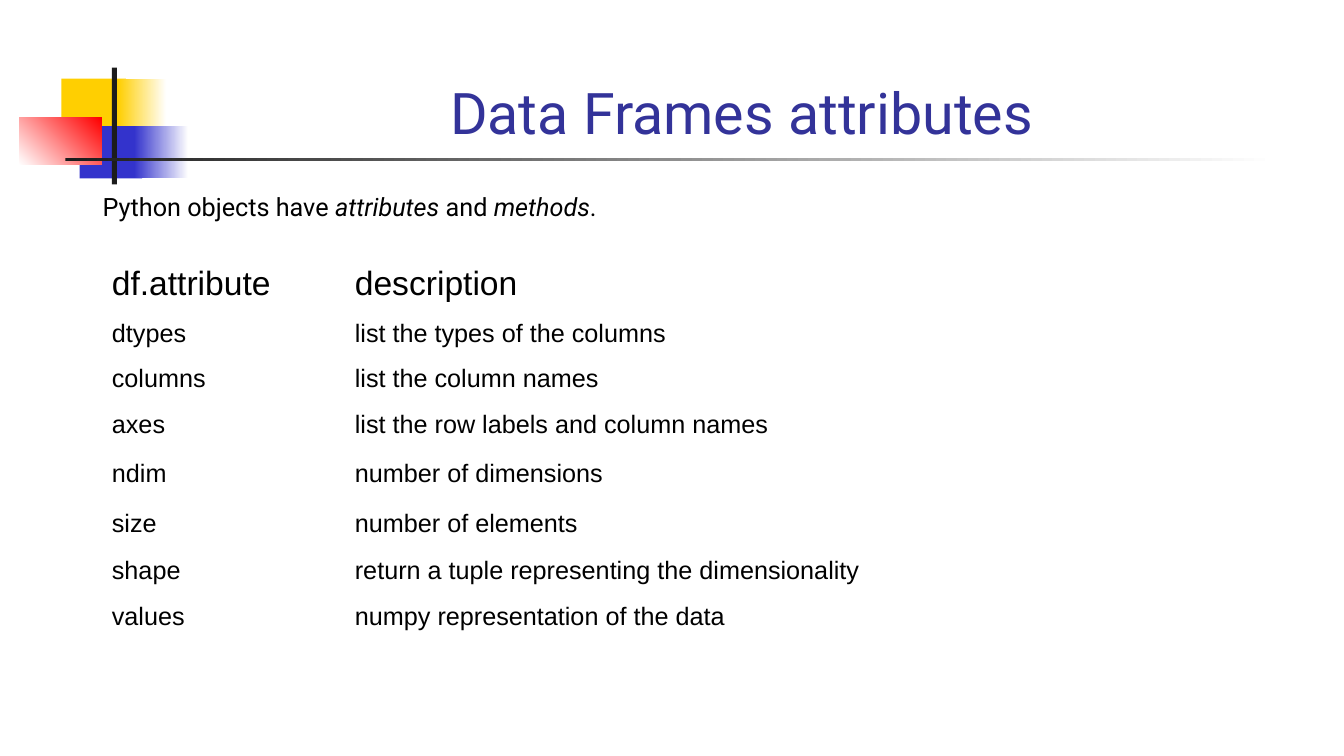
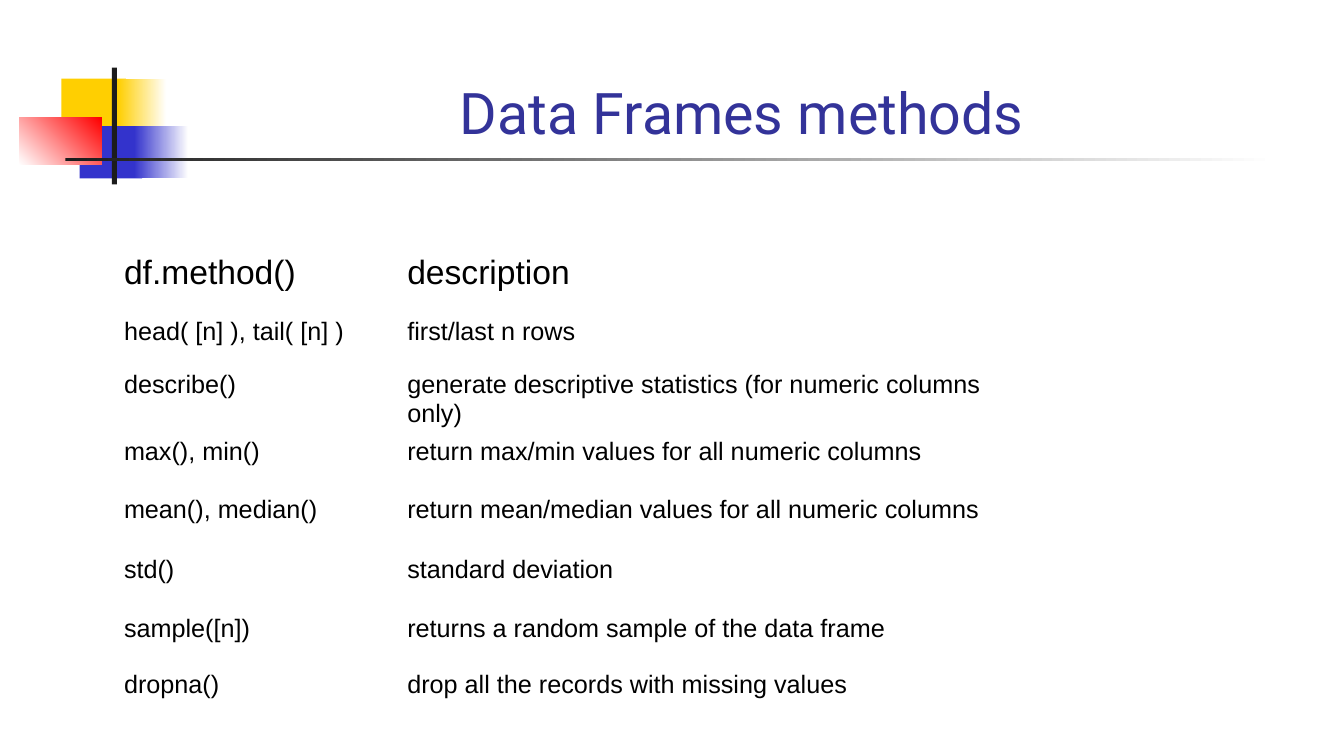
from dataclasses import dataclass

from pptx import Presentation
from pptx import util as u
from pptx.dml.color import RGBColor
from pptx.enum import shapes, text

EMU_PER_PX = 9144
BLACK, WHITE, CHARCOAL = "000000", "FFFFFF", "1C1C1C"
YELLOW, BLUE, RED, TITLE_BLUE = "FFCF01", "3333CC", "FF0000", "333399"
TITLE_FONT, TABLE_FONT = "Roboto", "Arial"


@dataclass(frozen=True)
class Box:
    """A place and size in px."""
    left: int
    top: int
    width: int
    height: int


@dataclass(frozen=True)
class Block:
    """A decorative rectangle, with a gradient when it has an end colour."""
    box: Box
    color: str
    end_color: str = ""
    angle: int = 0


@dataclass(frozen=True)
class TextRun:
    """A piece of text in one style."""
    content: str
    italic: bool = False


@dataclass(frozen=True)
class Listing:
    """A two-column table with a larger heading row."""
    left: int
    top: int
    columns: tuple[int, ...]
    heights: tuple[int, ...]
    rows: tuple[tuple[str, str], ...]


@dataclass(frozen=True)
class Page:
    """The content of one slide."""
    title: str
    listing: Listing
    intro: tuple[TextRun, ...] = ()


TITLE_BOX = Box(168, 25, 1136, 125)
INTRO_BOX = Box(92, 185, 819, 40)
BLOCKS = (
    Block(Box(61, 78, 64, 52), YELLOW),
    Block(Box(117, 78, 48, 52), YELLOW, WHITE),
    Block(Box(79, 125, 62, 52), BLUE),
    Block(Box(133, 125, 54, 52), BLUE, WHITE),
    Block(Box(19, 117, 82, 46), WHITE, RED, 45),
    Block(Box(111, 67, 5, 116), CHARCOAL),
    Block(Box(65, 157, 1200, 3), CHARCOAL, WHITE),
)
PAGES = (
    Page(
        "Data Frames attributes",
        Listing(101, 258, (241, 681), (54, 45, 45, 49, 50, 46, 46, 46), (
            ("df.attribute", "description"),
            ("dtypes", "list the types of the columns"),
            ("columns", "list the column names"),
            ("axes", "list the row labels and column names"),
            ("ndim", "number of dimensions"),
            ("size", "number of elements"),
            ("shape", "return a tuple representing the dimensionality"),
            ("values", "numpy representation of the data"),
        )),
        (TextRun("Python objects have "), TextRun("attributes", True),
         TextRun(" and "), TextRun("methods", True), TextRun(".")),
    ),
    Page(
        "Data Frames methods",
        Listing(113, 247, (281, 642), (63, 53, 53, 58, 59, 59, 55, 55), (
            ("df.method()", "description"),
            ("head( [n] ), tail( [n] )", "first/last n rows"),
            ("describe()", "generate descriptive statistics (for numeric columns only)"),
            ("max(), min()", "return max/min values for all numeric columns"),
            ("mean(), median()", "return mean/median values for all numeric columns"),
            ("std()", "standard deviation"),
            ("sample([n])", "returns a random sample of the data frame"),
            ("dropna()", "drop all the records with missing values"),
        )),
    ),
)


def px(length: int) -> u.Emu:
    """Turn px into EMU."""
    return u.Emu(length * EMU_PER_PX)


def rgb(color: str) -> RGBColor:
    """Turn a hex string into a colour."""
    return RGBColor.from_string(color)


def place(box: Box) -> tuple[u.Emu, ...]:
    """Give the four lengths of a box in EMU."""
    return px(box.left), px(box.top), px(box.width), px(box.height)


def write(frame, *runs: TextRun, size: int, font: str, color: str = BLACK,
          align=text.PP_ALIGN.LEFT) -> None:
    """Write formatted runs into the first paragraph of a text frame."""
    paragraph = frame.paragraphs[0]
    paragraph.alignment = align
    for item in runs:
        run = paragraph.add_run()
        run.text = item.content
        run.font.size = u.Pt(size)
        run.font.name = font
        run.font.italic = item.italic
        run.font.color.rgb = rgb(color)


def draw_block(slide, block: Block) -> None:
    """Draw one decorative rectangle."""
    shape = slide.shapes.add_shape(shapes.MSO_SHAPE.RECTANGLE, *place(block.box))
    shape.shadow.inherit = False
    shape.line.fill.background()
    if block.end_color:
        shape.fill.gradient()
        shape.fill.gradient_angle = block.angle
        for stop, color in zip(shape.fill.gradient_stops, (block.color, block.end_color)):
            stop.color.rgb = rgb(color)
    else:
        shape.fill.solid()
        shape.fill.fore_color.rgb = rgb(block.color)


def draw_title(slide, title: str) -> None:
    """Move, fill and format the title placeholder."""
    shape = slide.shapes.title
    shape.left, shape.top, shape.width, shape.height = place(TITLE_BOX)
    frame = shape.text_frame
    frame.auto_size = text.MSO_AUTO_SIZE.NONE
    frame.vertical_anchor = text.MSO_ANCHOR.BOTTOM
    write(frame, TextRun(title), size=41, font=TITLE_FONT, color=TITLE_BLUE,
          align=text.PP_ALIGN.CENTER)


def draw_intro(slide, runs: tuple[TextRun, ...]) -> None:
    """Draw the sentence above the table."""
    frame = slide.shapes.add_textbox(*place(INTRO_BOX)).text_frame
    frame.word_wrap = True
    frame.auto_size = text.MSO_AUTO_SIZE.SHAPE_TO_FIT_TEXT
    write(frame, *runs, size=18, font=TITLE_FONT)


def draw_listing(slide, listing: Listing) -> None:
    """Draw the plain table."""
    box = Box(listing.left, listing.top, sum(listing.columns), sum(listing.heights))
    table = slide.shapes.add_table(
        len(listing.rows), len(listing.columns), *place(box)).table
    table.first_row = table.horz_banding = False
    for column, width in zip(table.columns, listing.columns):
        column.width = px(width)
    for index, (row, height) in enumerate(zip(table.rows, listing.heights)):
        row.height = px(height)
        for cell, content in zip(row.cells, listing.rows[index]):
            cell.fill.background()
            write(cell.text_frame, TextRun(content), size=18 if index else 24,
                  font=TABLE_FONT)


def draw_page(presentation, page: Page) -> None:
    """Add one slide with its shared decoration and content."""
    slide = presentation.slides.add_slide(presentation.slide_layouts[5])
    for block in BLOCKS:
        draw_block(slide, block)
    draw_title(slide, page.title)
    if page.intro:
        draw_intro(slide, page.intro)
    draw_listing(slide, page.listing)


def main() -> None:
    """Build and save the presentation."""
    presentation = Presentation()
    presentation.slide_width, presentation.slide_height = px(1333), px(750)
    for page in PAGES:
        draw_page(presentation, page)
    presentation.save("out.pptx")


if __name__ == "__main__":
    main()
